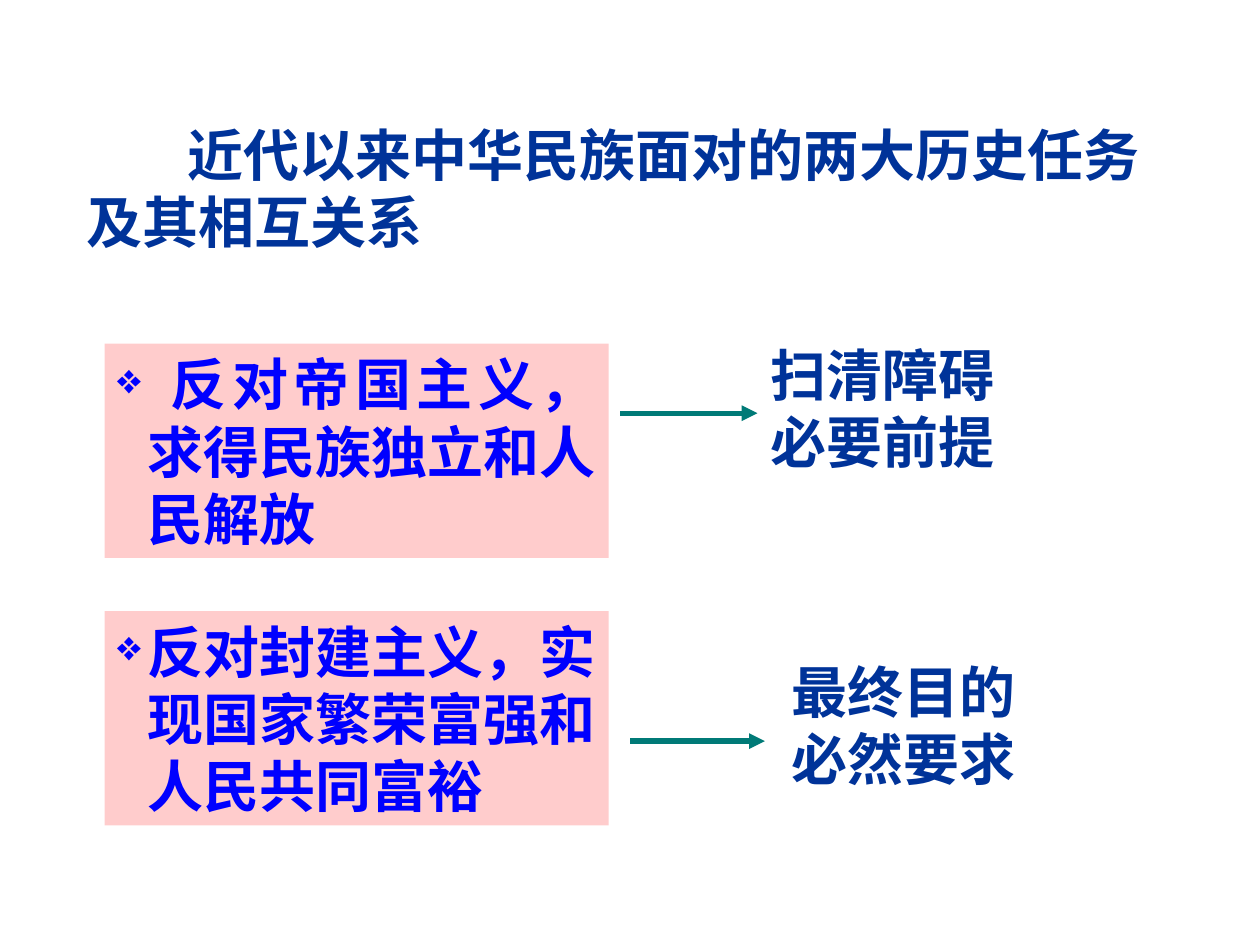
"""Build a slide on the two historic tasks and how they relate."""
from lxml.etree import SubElement
from pptx import Presentation
from pptx.dml.color import RGBColor
from pptx.enum.shapes import MSO_CONNECTOR, MSO_SHAPE
from pptx.enum.text import MSO_ANCHOR, MSO_AUTO_SIZE, PP_ALIGN
from pptx.oxml.ns import qn
from pptx.util import Cm, Pt

NAVY = RGBColor(0x00, 0x33, 0x99)
BLUE = RGBColor(0x00, 0x00, 0xFF)
PINK = RGBColor(0xFF, 0xCC, 0xCC)
TEAL = RGBColor(0x00, 0x7A, 0x77)
LATIN_FONT = "Times New Roman"
CHINESE_FONT = "Noto Sans CJK SC"

TITLE = "近代以来中华民族面对的两大历史任务及其相互关系"
TITLE_BOX = (1.5, 2.31, 22.66, 2.97)
TASK_LEFT, TASK_WIDTH, TASK_HEIGHT = 2.11, 10.16, 4.32
TASKS = [
    {"task": " 反对帝国主义，求得民族独立和人民解放", "top": 6.93,
     "role": "扫清障碍必要前提", "role_box": (15.29, 6.73, 5.21, 2.97),
     "arrow": (12.5, 15.27, 8.33)},
    {"task": "反对封建主义，实现国家繁荣富强和人民共同富裕", "top": 12.32,
     "role": "最终目的必然要求", "role_box": (15.7, 13.13, 5.99, 2.97),
     "arrow": (12.7, 15.42, 14.94)},
]


def write(shape, text, color, font_name):
    frame = shape.text_frame
    frame.word_wrap = True
    frame.auto_size = MSO_AUTO_SIZE.SHAPE_TO_FIT_TEXT
    frame.vertical_anchor = MSO_ANCHOR.TOP
    paragraph = frame.paragraphs[0]
    paragraph.alignment = PP_ALIGN.LEFT
    run = paragraph.add_run()
    run.text = text
    run.font.size = Pt(32)
    run.font.bold = True
    run.font.color.rgb = color
    run.font.name = font_name
    SubElement(run.font._element, qn("a:ea"), typeface=CHINESE_FONT)
    return paragraph


def add_label(slide, box, text):
    label = slide.shapes.add_textbox(*map(Cm, box))
    return write(label, text, NAVY, LATIN_FONT)


def set_indent(paragraph, margin, first_line):
    properties = paragraph._p.get_or_add_pPr()
    properties.set("marL", str(Cm(margin)))
    properties.set("indent", str(Cm(first_line)))
    return properties


def add_task(slide, text, top):
    panel = slide.shapes.add_shape(
        MSO_SHAPE.RECTANGLE, *map(Cm, (TASK_LEFT, top, TASK_WIDTH, TASK_HEIGHT)))
    panel.shadow.inherit = False
    panel.fill.solid()
    panel.fill.fore_color.rgb = PINK
    panel.line.fill.background()
    paragraph = write(panel, text, BLUE, CHINESE_FONT)
    paragraph.alignment = PP_ALIGN.JUSTIFY
    properties = set_indent(paragraph, 0.61, -0.61)
    bullet_color = SubElement(properties, qn("a:buClr"))
    SubElement(bullet_color, qn("a:srgbClr"), val=str(BLUE))
    SubElement(properties, qn("a:buSzPct"), val="75000")
    SubElement(properties, qn("a:buChar"), char="❖")


def add_arrow(slide, start, end, y):
    arrow = slide.shapes.add_connector(
        MSO_CONNECTOR.STRAIGHT, Cm(start), Cm(y), Cm(end), Cm(y))
    arrow.line.color.rgb = TEAL
    arrow.line.width = Pt(3)
    SubElement(arrow.line._get_or_add_ln(), qn("a:tailEnd"), type="triangle")
    SubElement(arrow._element.spPr, qn("a:effectLst"))


def main():
    deck = Presentation()
    deck.slide_width, deck.slide_height = Cm(25.4), Cm(19.05)
    slide = deck.slides.add_slide(deck.slide_layouts[6])
    set_indent(add_label(slide, TITLE_BOX, TITLE), 0, 2.03)
    for item in TASKS:
        add_task(slide, item["task"], item["top"])
        add_label(slide, item["role_box"], item["role"])
        add_arrow(slide, *item["arrow"])
    deck.save("out.pptx")


if __name__ == "__main__":
    main()
